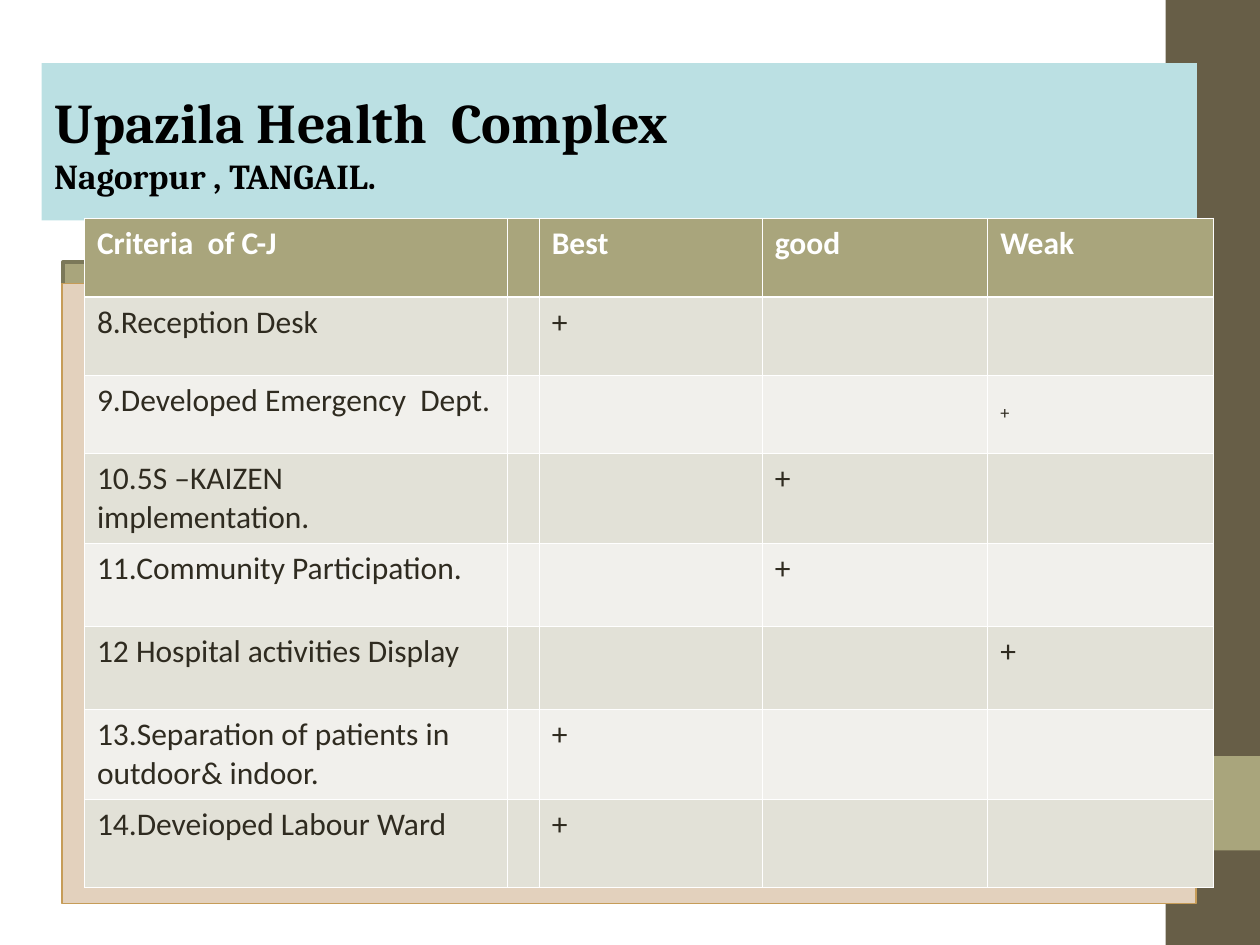
from lxml import etree
from pptx import Presentation
from pptx.dml.color import RGBColor
from pptx.enum.shapes import MSO_SHAPE
from pptx.enum.text import MSO_ANCHOR, MSO_AUTO_SIZE, PP_ALIGN
from pptx.oxml.ns import qn
from pptx.util import Inches, Pt

RECTANGLE = MSO_SHAPE.RECTANGLE
MIDDLE = MSO_ANCHOR.MIDDLE
NO_AUTOFIT = MSO_AUTO_SIZE.NONE
LEFT = PP_ALIGN.LEFT

COLORS = {
    "white": "FFFFFF",
    "black": "000000",
    "text": "2F2B20",
    "band": "675E47",
    "olive": "A9A57C",
    "olive_line": "7B7859",
    "title": "BBE0E3",
    "sand": "E3D1BD",
    "sand_line": "C69C58",
    "odd_row": "E2E1D7",
    "even_row": "F1F0EC",
}

HEADINGS = ["Criteria  of C-J", "", "Best", "good", "Weak"]
BEST, GOOD, WEAK = 2, 3, 4
RATINGS = [
    ("8.Reception Desk", BEST),
    ("9.Developed Emergency  Dept.", WEAK),
    ("10.5S –KAIZEN implementation.", GOOD),
    ("11.Community Participation.", GOOD),
    ("12 Hospital activities Display", WEAK),
    ("13.Separation of patients in outdoor& indoor.", BEST),
    ("14.Deveioped Labour Ward", BEST),
]
SUBSCRIPT_ROW = 2
COLUMN_WIDTHS = [3.36, 0.25, 1.77, 1.79, 1.79]
ROW_HEIGHTS = [0.63, 0.62, 0.62, 0.7, 0.66, 0.66, 0.7, 0.7]
THIN, THICK = 0.45, 1.47


def color(name):
    return RGBColor.from_string(COLORS[name])


def add_rectangle(slide, left, top, width, height, fill, line=None, line_width=0):
    shape = slide.shapes.add_shape(
        RECTANGLE, Inches(left), Inches(top), Inches(width), Inches(height))
    shape.shadow.inherit = False
    shape.fill.solid()
    shape.fill.fore_color.rgb = color(fill)
    if line:
        shape.line.color.rgb = color(line)
        shape.line.width = Pt(line_width)
    else:
        shape.line.fill.background()


def fill_title(slide):
    title = slide.shapes.title
    slide.shapes._spTree.append(title._element)
    title.left, title.top = Inches(0.33), Inches(0.5)
    title.width, title.height = Inches(9.17), Inches(1.25)
    title.fill.solid()
    title.fill.fore_color.rgb = color("title")
    frame = title.text_frame
    frame.auto_size = NO_AUTOFIT
    frame.vertical_anchor = MIDDLE
    paragraph = frame.paragraphs[0]
    paragraph.alignment = LEFT
    paragraph.font.name = "Cambria"
    paragraph.font.bold = True
    paragraph.font.color.rgb = color("black")
    name = paragraph.add_run()
    name.text = "Upazila Health  Complex"
    name.font.size = Pt(32)
    paragraph.add_line_break()
    place = paragraph.add_run()
    place.text = "Nagorpur , TANGAIL."
    place.font.size = Pt(20)


def set_borders(cell, top, bottom):
    properties = cell._tc.get_or_add_tcPr()
    widths = {"a:lnL": THIN, "a:lnR": THIN, "a:lnT": top, "a:lnB": bottom}
    for position, (tag, width) in enumerate(widths.items()):
        line = etree.Element(qn(tag), w=str(Pt(width)))
        solid = etree.SubElement(line, qn("a:solidFill"))
        etree.SubElement(solid, qn("a:srgbClr"), val=COLORS["white"])
        properties.insert(position, line)


def fill_cell(cell, text, row):
    is_header = row == 0
    fill = "olive" if is_header else "odd_row" if row % 2 else "even_row"
    cell.fill.solid()
    cell.fill.fore_color.rgb = color(fill)
    set_borders(cell, THICK if row == 1 else THIN, THICK if is_header else THIN)
    cell.text = text
    paragraph = cell.text_frame.paragraphs[0]
    paragraph.font.name = "Calibri"
    paragraph.font.size = Pt(18)
    paragraph.font.bold = is_header
    paragraph.font.color.rgb = color("white" if is_header else "text")
    if row == SUBSCRIPT_ROW and text == "+":
        paragraph.runs[0].font._element.set("baseline", "-25000")


def add_ratings_table(slide):
    rows = [HEADINGS]
    for criterion, rating in RATINGS:
        rows.append([criterion] + ["+" if column == rating else ""
                                   for column in range(1, len(HEADINGS))])
    table = slide.shapes.add_table(
        len(rows), len(HEADINGS), Inches(0.67), Inches(1.73),
        Inches(sum(COLUMN_WIDTHS)), Inches(sum(ROW_HEIGHTS))).table
    for column, width in zip(table.columns, COLUMN_WIDTHS):
        column.width = Inches(width)
    for row, height in zip(table.rows, ROW_HEIGHTS):
        row.height = Inches(height)
    for row_index, texts in enumerate(rows):
        for column_index, text in enumerate(texts):
            fill_cell(table.cell(row_index, column_index), text, row_index)


def main():
    presentation = Presentation()
    presentation.slide_width = Inches(10)
    presentation.slide_height = Inches(7.5)
    slide = presentation.slides.add_slide(presentation.slide_layouts[5])
    add_rectangle(slide, 9.25, 0, 0.75, 7.5, "band")
    add_rectangle(slide, 9.25, 6, 0.75, 0.75, "olive")
    add_rectangle(slide, 0.5, 2.08, 9, 4.92, "olive", "olive_line", 2)
    fill_title(slide)
    add_rectangle(slide, 0.49, 2.25, 9, 4.92, "sand", "sand_line", 1)
    add_ratings_table(slide)
    presentation.save("out.pptx")


if __name__ == "__main__":
    main()
